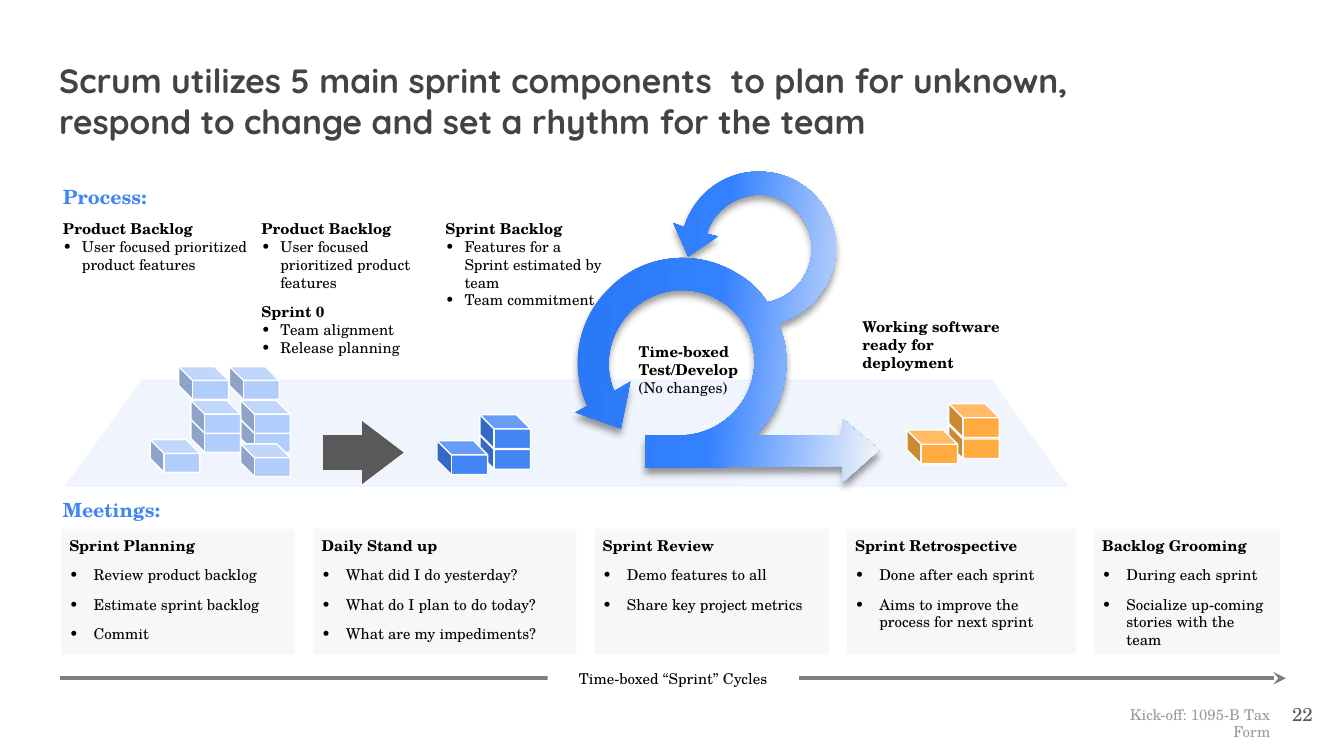
from copy import deepcopy
from dataclasses import dataclass
from math import cos, radians, sin

from lxml import etree
from pptx import Presentation
from pptx.dml.color import RGBColor
from pptx.enum.shapes import MSO_CONNECTOR, MSO_SHAPE
from pptx.enum.text import MSO_ANCHOR, PP_ALIGN
from pptx.oxml.ns import qn
from pptx.util import Cm, Pt

RECTANGLE, TRAPEZOID = MSO_SHAPE.RECTANGLE, MSO_SHAPE.TRAPEZOID
CUBE, RIGHT_ARROW = MSO_SHAPE.CUBE, MSO_SHAPE.RIGHT_ARROW
STRAIGHT = MSO_CONNECTOR.STRAIGHT
TOP, MIDDLE = MSO_ANCHOR.TOP, MSO_ANCHOR.MIDDLE
LEFT, CENTER, RIGHT = PP_ALIGN.LEFT, PP_ALIGN.CENTER, PP_ALIGN.RIGHT


@dataclass(frozen=True)
class Theme:
    title_font: str = "Quicksand"
    body_font: str = "TeX Gyre Schola"
    title_size: float = 18
    heading_size: float = 10.5
    number_size: float = 10
    body_size: float = 8
    title: str = "434343"
    text: str = "000000"
    footer: str = "9B9B9B"
    white: str = "FFFFFF"
    floor: str = "D8E6FC"
    card: str = "EEEEEE"
    dark: str = "595959"
    rule: str = "7F7F7F"
    blue: str = "4285F4"
    pale_blue: str = "B1CDFB"
    orange: str = "FFAB40"
    cycle: tuple = ((0, "2472F2"), (0.44, "3481FF"), (0.81, "FAFAFA"), (1, "FAFAFA"))


THEME = Theme()


@dataclass(frozen=True)
class Style:
    size: float = THEME.body_size
    color: str = THEME.text
    bold: bool = False
    font: str = THEME.body_font
    align: PP_ALIGN = LEFT


@dataclass(frozen=True)
class Box:
    """Left, top, width and height in centimetres."""
    left: float
    top: float
    width: float
    height: float

    def emu(self):
        return Cm(self.left), Cm(self.top), Cm(self.width), Cm(self.height)


@dataclass(frozen=True)
class Stack:
    color: str
    width: float
    height: float
    corners: tuple


@dataclass(frozen=True)
class Note:
    """A bold head above bullets."""
    box: Box
    head: str
    bullets: tuple = ()


@dataclass(frozen=True)
class Meeting:
    width: float
    name: str
    points: tuple


BODY, BOLD = Style(), Style(bold=True)
HEADING = Style(THEME.heading_size, THEME.blue, True)

STACKS = (
    Stack(THEME.blue, 0.96, 0.64, ((9.07, 8.23), (9.07, 7.84), (8.26, 8.33))),
    Stack(THEME.orange, 0.96, 0.64, ((17.93, 8.03), (17.93, 7.63), (17.14, 8.13))),
    Stack(THEME.pale_blue, 0.94, 0.62, (
        (3.38, 6.93), (4.34, 6.93), (4.55, 7.93), (4.55, 7.57),
        (3.61, 7.93), (3.61, 7.57), (2.84, 8.31), (4.55, 8.39))),
)
FEATURES = ("User focused prioritized product features",)
NOTES = (
    Note(Box(1.19, 4.15, 4.01, 1.04), "Product Backlog", FEATURES),
    Note(Box(4.94, 4.15, 3.33, 1.37), "Product Backlog", FEATURES),
    Note(Box(4.94, 5.72, 2.84, 1.02), "Sprint 0", ("Team alignment", "Release planning")),
    Note(Box(8.42, 4.15, 3.1, 1.4), "Sprint Backlog",
         ("Features for a Sprint estimated by team", "Team commitment")),
    Note(Box(16.3, 6.01, 2.9, 0.69), "Working software ready for deployment"),
)
MEETINGS = (
    Meeting(4.42, "Sprint Planning",
            ("Review product backlog", "Estimate sprint backlog", "Commit")),
    Meeting(4.96, "Daily Stand up",
            ("What did I do yesterday?", "What do I plan to do today?",
             "What are my impediments?")),
    Meeting(4.42, "Sprint Review", ("Demo features to all", "Share key project metrics")),
    Meeting(4.32, "Sprint Retrospective",
            ("Done after each sprint", "Aims to improve the process for next sprint")),
    Meeting(3.51, "Backlog Grooming",
            ("During each sprint", "Socialize up-coming stories with the team")),
)
CARD_LEFT, CARD_TOP, CARD_HEIGHT, CARD_GAP = 1.16, 10.0, 2.37, 0.35

# Hundredths of an inch on the slide: a pair is a corner, six numbers a Bezier curve.
CYCLE_UNIT = Cm(2.54) / 100
CYCLE_BOX = (438, 150, 231, 240)
CYCLE_TURN = 50.2
CYCLE_START = (559, 128)
CYCLE = (
    (563, 128, 566, 128, 569, 128), (599, 130, 622, 155, 622, 185),
    (622, 211, 604, 233, 579, 241), (586, 256, 587, 274, 582, 291),
    (578, 304, 571, 315, 562, 324), (627, 324), (627, 312), (654, 335),
    (627, 359), (627, 347), (480, 348), (480, 324), (506, 324),
    (506, 324, 506, 324, 506, 324), (530, 324, 552, 308, 559, 285),
    (566, 261, 557, 236, 536, 224), (515, 211, 489, 214, 471, 230),
    (454, 246, 448, 270, 457, 291), (469, 284), (462, 319), (428, 307), (437, 302),
    (423, 272, 430, 236, 455, 213), (480, 189, 519, 185, 549, 204),
    (558, 209, 565, 216, 571, 225), (590, 221, 604, 205, 604, 185),
    (604, 164, 588, 147, 568, 145), (549, 144, 531, 156, 526, 174),
    (534, 176), (512, 191), (501, 166), (509, 169),
    (516, 146, 536, 130, 559, 128),
)


def child(parent, tag: str, **attributes: str):
    element = etree.SubElement(parent, qn(tag))
    for key, value in attributes.items():
        element.set(key, value)
    return element


def add_run(paragraph, text: str, style: Style) -> None:
    run = paragraph.add_run()
    run.text = text
    font = run.font
    font.name, font.size, font.bold = style.font, Pt(style.size), style.bold
    font.color.rgb = RGBColor.from_string(style.color)
    paragraph.alignment = style.align


def set_frame(frame, inset: float = 0, anchor: MSO_ANCHOR = TOP) -> None:
    frame.word_wrap, frame.vertical_anchor = True, anchor
    frame.margin_left = frame.margin_right = Cm(inset)
    frame.margin_top = frame.margin_bottom = Cm(inset)


def add_bullets(frame, items: tuple, indent: float, before: float = 0) -> None:
    for item in items:
        paragraph = frame.add_paragraph()
        properties = paragraph._p.get_or_add_pPr()
        properties.set("marL", str(Cm(indent)))
        properties.set("indent", str(-Cm(indent)))
        child(child(properties, "a:buClr"), "a:srgbClr", val=THEME.text)
        child(properties, "a:buFont", typeface=THEME.body_font)
        child(properties, "a:buChar", char="•")
        paragraph.space_before = Pt(before)
        add_run(paragraph, item, BODY)


def add_text(slide, box: Box, text: str, style: Style, inset: float = 0,
             anchor: MSO_ANCHOR = TOP):
    frame = slide.shapes.add_textbox(*box.emu()).text_frame
    set_frame(frame, inset, anchor)
    add_run(frame.paragraphs[0], text, style)
    return frame


def paint(shape, color: str, opacity: int = 100, outline: bool = False) -> None:
    shape.shadow.inherit = False
    shape.fill.solid()
    shape.fill.fore_color.rgb = RGBColor.from_string(color)
    if opacity < 100:
        rgb = shape.element.spPr.find(qn("a:solidFill"))[0]
        child(rgb, "a:alpha", val=str(opacity * 1000))
    if outline:
        shape.line.color.rgb = RGBColor.from_string(THEME.white)
        shape.line.width = Pt(0.75)
    else:
        shape.line.fill.background()


def add_stack(slide, stack: Stack) -> None:
    for left, top in stack.corners:
        cube = slide.shapes.add_shape(CUBE, *Box(left, top, stack.width, stack.height).emu())
        cube.adjustments[0] = 0.42
        cube.element.spPr.xfrm.set("flipH", "1")
        paint(cube, stack.color, outline=True)


def add_meeting(slide, meeting: Meeting, left: float) -> None:
    card = slide.shapes.add_shape(
        RECTANGLE, *Box(left, CARD_TOP, meeting.width, CARD_HEIGHT).emu())
    paint(card, THEME.card, 44)
    set_frame(card.text_frame, 0.15)
    add_run(card.text_frame.paragraphs[0], meeting.name, BOLD)
    add_bullets(card.text_frame, meeting.points, 0.46, 6)


def add_cycle_point(parent, x: float, y: float) -> None:
    """Add a slide point, turned back into the unrotated box, in tenths of a unit."""
    left, top, width, height = CYCLE_BOX
    dx, dy, turn = x - left - width / 2, y - top - height / 2, radians(CYCLE_TURN)
    local_x = width / 2 + dx * cos(turn) + dy * sin(turn)
    local_y = height / 2 - dx * sin(turn) + dy * cos(turn)
    child(parent, "a:pt", x=str(round(local_x * 10)), y=str(round(local_y * 10)))


def add_cycle(slide) -> None:
    """Draw the double loop arrow with its gradient and soft shadow."""
    left, top, width, height = CYCLE_BOX
    builder = slide.shapes.build_freeform(scale=CYCLE_UNIT / 10)
    builder.add_line_segments([(width * 10, height * 10)])
    cycle = builder.convert_to_shape(round(left * CYCLE_UNIT), round(top * CYCLE_UNIT))
    outline = next(cycle.element.spPr.iter(qn("a:path")))
    for segment in list(outline):
        outline.remove(segment)
    add_cycle_point(child(outline, "a:moveTo"), *CYCLE_START)
    for part in CYCLE:
        segment = child(outline, "a:lnTo" if len(part) == 2 else "a:cubicBezTo")
        for x, y in zip(part[::2], part[1::2]):
            add_cycle_point(segment, x, y)
    child(outline, "a:close")
    cycle.rotation = CYCLE_TURN

    cycle.line.fill.background()
    cycle.fill.gradient()
    cycle.fill.gradient_angle = 45
    stops = cycle.element.spPr.find(qn("a:gradFill")).find(qn("a:gsLst"))
    while len(stops) < len(THEME.cycle):
        stops.append(deepcopy(stops[0]))
    for stop, (position, color) in zip(cycle.fill.gradient_stops, THEME.cycle):
        stop.position = position
        stop.color.rgb = RGBColor.from_string(color)
    cycle.shadow.inherit = False
    shadow = child(cycle.element.spPr.find(qn("a:effectLst")), "a:outerShdw",
                   blurRad=str(Pt(4)), dist=str(Pt(3)), dir="5400000", rotWithShape="0")
    child(child(shadow, "a:srgbClr", val=THEME.text), "a:alpha", val="40000")


def add_timeline(slide) -> None:
    y = Cm(12.82)
    line = slide.shapes.add_connector(STRAIGHT, Cm(1.14), y, Cm(24.3), y)
    line.line.color.rgb = RGBColor.from_string(THEME.rule)
    line.line.width = Pt(2.25)
    child(line.element.spPr.find(qn("a:ln")), "a:tailEnd", type="stealth")
    child(line.element.spPr, "a:effectLst")
    label = slide.shapes.add_shape(RECTANGLE, *Box(10.35, 12.65, 4.75, 0.36).emu())
    paint(label, THEME.white)
    set_frame(label.text_frame, anchor=MIDDLE)
    add_run(label.text_frame.paragraphs[0], "Time-boxed “Sprint” Cycles", Style(align=CENTER))


def main() -> None:
    deck = Presentation()
    deck.slide_width, deck.slide_height = Cm(25.4), Cm(14.29)
    slide = deck.slides.add_slide(deck.slide_layouts[6])

    floor = slide.shapes.add_shape(TRAPEZOID, *Box(1.19, 7.16, 19.04, 2.06).emu())
    floor.adjustments[0] = 0.72
    paint(floor, THEME.floor, 38, outline=True)
    arrow = slide.shapes.add_shape(RIGHT_ARROW, *Box(6.11, 7.96, 1.52, 1.19).emu())
    arrow.adjustments[0], arrow.adjustments[1] = 0.55, 0.66
    paint(arrow, THEME.dark)
    for stack in STACKS:
        add_stack(slide, stack)
    for note in NOTES:
        add_bullets(add_text(slide, note.box, note.head, BOLD), note.bullets, 0.36)
    develop = add_text(slide, Box(12.07, 6.48, 2.18, 1.04), "Time-boxed", BOLD)
    develop.paragraphs[0].add_line_break()
    add_run(develop.paragraphs[0], "Test/Develop", BOLD)
    add_run(develop.add_paragraph(), "(No changes)", BODY)

    add_timeline(slide)
    left = CARD_LEFT
    for meeting in MEETINGS:
        add_meeting(slide, meeting, left)
        left += meeting.width + CARD_GAP
    for top, heading in ((3.5, "Process:"), (9.42, "Meetings:")):
        add_text(slide, Box(1.19, top, 22.99, 0.51), heading, HEADING)
    add_cycle(slide)

    add_text(slide, Box(0.87, 0.89, 20.75, 2.06),
             "Scrum utilizes 5 main sprint components  to plan for unknown, "
             "respond to change and set a rhythm for the team",
             Style(THEME.title_size, THEME.title, True, THEME.title_font), 0.25)
    add_text(slide, Box(23.54, 12.95, 1.52, 1.09), "22",
             Style(THEME.number_size, THEME.dark, align=RIGHT), 0.25, MIDDLE)
    add_text(slide, Box(20.37, 13.08, 3.89, 0.99), "Kick-off: 1095-B Tax Form",
             Style(color=THEME.footer, align=RIGHT), 0.25)
    deck.save("out.pptx")


if __name__ == "__main__":
    main()
